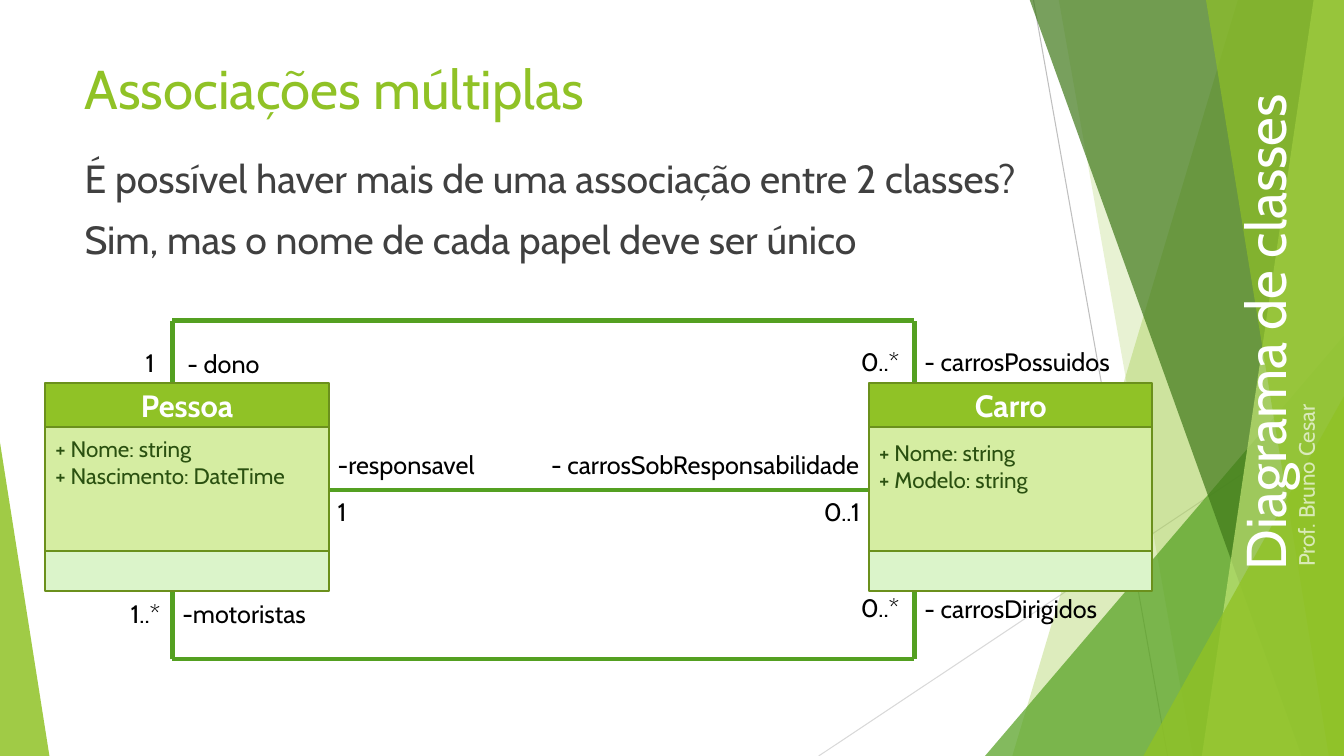
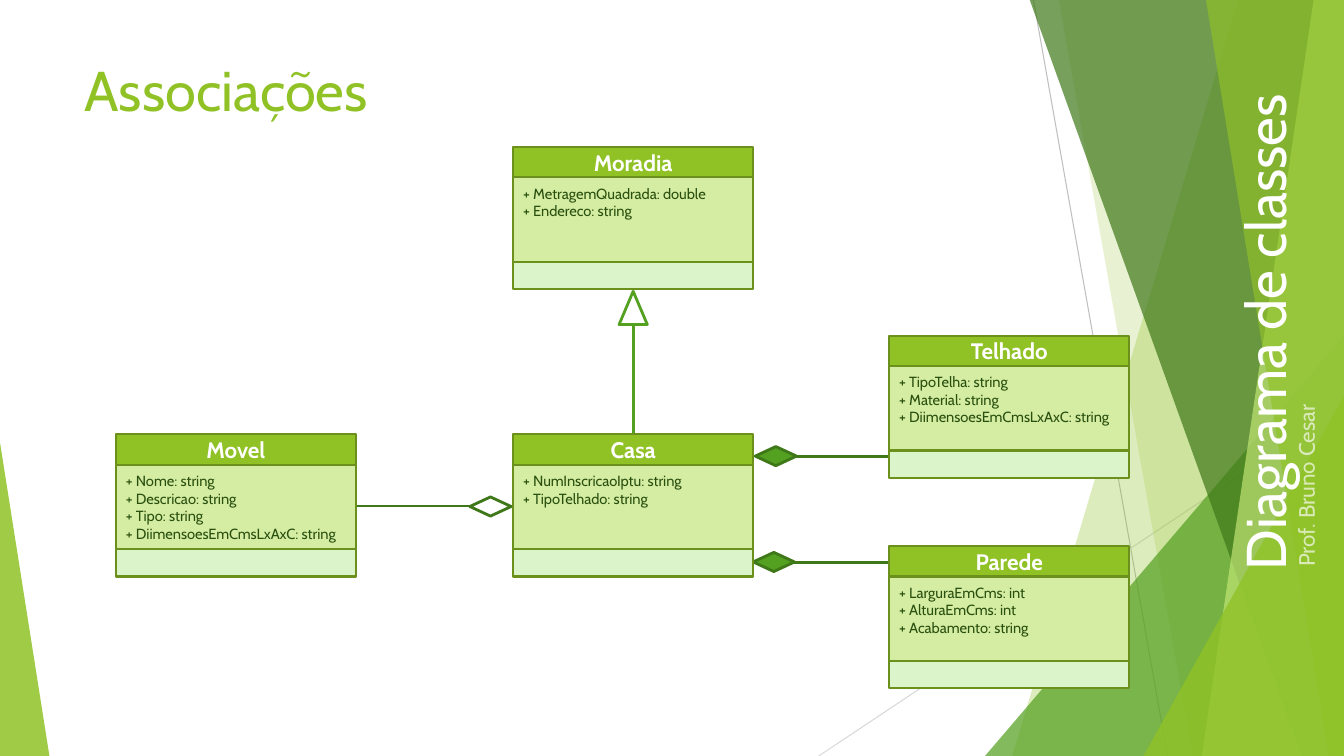
from lxml import etree
from pptx import Presentation
from pptx.dml.color import RGBColor
from pptx.enum.shapes import MSO_CONNECTOR, MSO_SHAPE
from pptx.enum.text import MSO_ANCHOR, PP_ALIGN
from pptx.oxml.ns import qn
from pptx.util import Inches, Pt

STRAIGHT = MSO_CONNECTOR.STRAIGHT
RECTANGLE = MSO_SHAPE.RECTANGLE
TRIANGLE = MSO_SHAPE.ISOSCELES_TRIANGLE
DIAMOND = MSO_SHAPE.FLOWCHART_DECISION
TOP, MIDDLE = MSO_ANCHOR.TOP, MSO_ANCHOR.MIDDLE
LEFT, CENTER, RIGHT = PP_ALIGN.LEFT, PP_ALIGN.CENTER, PP_ALIGN.RIGHT

FONT = "Cabin"
COLORS = {
    "lime": "90C226", "pale lime": "C0E474", "green": "54A021", "dark green": "3F7819",
    "border": "6B901C", "attributes": "D5EDA2", "methods": "DBF4CA", "member": "2A5010",
    "body": "404040", "white": "FFFFFF", "black": "000000",
    "gray": "BFBFBF", "light gray": "D9D9D9",
}


def paint(shape, fill, border=None, width=1.5, opacity=100):
    shape.shadow.inherit = False
    shape.fill.solid()
    shape.fill.fore_color.rgb = RGBColor.from_string(COLORS[fill])
    if opacity < 100:
        color = shape.fill._xPr.find(qn("a:solidFill"))[0]
        etree.SubElement(color, qn("a:alpha"), val=str(opacity * 1000))
    if border:
        shape.line.color.rgb = RGBColor.from_string(COLORS[border])
        shape.line.width = Pt(width)
    else:
        shape.line.fill.background()


def write(shape, lines, size, color, align=LEFT, anchor=TOP, bold=False, before=0, opacity=100):
    frame = shape.text_frame
    frame.word_wrap = True
    frame.vertical_anchor = anchor
    for index, line in enumerate(lines):
        paragraph = frame.paragraphs[0] if index == 0 else frame.add_paragraph()
        paragraph.alignment = align
        paragraph.space_before = Pt(before if index else 0)
        run = paragraph.add_run()
        run.text = line
        run.font.name = FONT
        run.font.size = Pt(size)
        run.font.bold = bold
        run.font.color.rgb = RGBColor.from_string(COLORS[color])
        if opacity < 100:
            tint = run.font.fill._xPr.find(qn("a:solidFill"))[0]
            etree.SubElement(tint, qn("a:alpha"), val=str(opacity * 1000))


background_lines = [
    (10.25, 0, 11.58, 7.5, "gray", 0.75),
    (13.33, 4.03, 8.12, 7.5, "light gray", 0.75),
]
# Each band runs from its top-left corner to its bottom-left corner at the right edge.
bands = [
    ("strip", (12.28, 10.04), "lime", 30),
    ("strip", (10.5, 11.83), "lime", 20),
    ("corner", (9.77, 3.33, 3.56, 4.17, 1), "green", 72),
    ("strip", (10.21, 12.91), "dark green", 70),
    ("strip", (13.03, 11.92), "pale lime", 70),
    ("strip", (11.96, 13.18), "lime", 65),
    ("corner", (11.34, 3.93, 1.99, 3.57, 1), "lime", 80),
    ("corner", (0, 4.39, 0.49, 3.11, 0), "lime", 85),
]
side_texts = [
    ("Diagrama de classes", (9.84, 2.67, 5.4, 0.77), 40, 100),
    ("Prof. Bruno Cesar", (11.8, 4.3, 2.39, 0.45), 16, 65),
]

pages = [
    {
        "title": "Associações múltiplas",
        "title size": 39,
        "body": [
            "É possível haver mais de uma associação entre 2 classes?",
            "Sim, mas o nome de cada papel deve ser único",
        ],
        "links": [
            (1.71, 3.18, 9.07, 3.18, "green", 3),
            (1.71, 6.54, 9.07, 6.54, "green", 3),
            (1.71, 6.54, 1.71, 3.18, "green", 3),
            (9.07, 6.54, 9.07, 3.18, "green", 3),
            (3.16, 4.86, 8.82, 4.86, "green", 3),
        ],
        "markers": [],
        "class width": 2.81,
        "class heights": (0.44, 1.23, 0.39),
        "class sizes": (22, 16),
        "classes": [
            ("Pessoa", 0.45, 3.8, 0.08, ["+ Nome: string", "+ Nascimento: DateTime"]),
            ("Carro", 8.62, 3.8, 0.12, ["+ Nome: string", "+ Modelo: string"]),
        ],
        "labels": [
            ("0..1", 7.98, 4.87, 0.65, RIGHT),
            ("- carrosSobResponsabilidade", 5.21, 4.41, 3.41, RIGHT),
            ("1", 3.25, 4.87, 0.34, LEFT),
            ("-responsavel", 3.25, 4.41, 3.32, LEFT),
            ("1", 1.34, 3.4, 0.29, RIGHT),
            ("- dono", 1.76, 3.41, 0.97, LEFT),
            ("-motoristas", 1.71, 5.89, 1.54, LEFT),
            ("1..*", 1.08, 5.89, 0.61, RIGHT),
            ("0..*", 8.35, 3.39, 0.67, RIGHT),
            ("- carrosPossuidos", 9.07, 3.39, 2.16, LEFT),
            ("0..*", 7.81, 5.83, 1.21, RIGHT),
            ("- carrosDirigidos", 9.07, 5.84, 2.26, LEFT),
        ],
    },
    {
        "title": "Associações",
        "title size": 40,
        "body": [],
        "links": [
            (6.28, 5.12, 6.28, 2.94, "green", 2),
            (4.95, 5.02, 3.46, 5.02, "dark green", 2),
            (7.6, 4.53, 9.09, 4.53, "dark green", 2),
            (7.58, 5.58, 9.07, 5.58, "dark green", 2),
        ],
        "markers": [
            (TRIANGLE, (6.14, 2.89, 0.28, 0.33), "white", "green"),
            (DIAMOND, (4.66, 4.93, 0.41, 0.19), "white", "dark green"),
            (DIAMOND, (7.49, 4.43, 0.41, 0.19), "green", "dark green"),
            (DIAMOND, (7.47, 5.48, 0.41, 0.19), "green", "dark green"),
        ],
        "class width": 2.38,
        "class heights": (0.3, 0.84, 0.27),
        "class sizes": (16, 10.5),
        "classes": [
            ("Moradia", 5.09, 1.46, 0.07,
             ["+ MetragemQuadrada: double", "+ Endereco: string"]),
            ("Parede", 8.82, 5.42, 0.07,
             ["+ LarguraEmCms: int", "+ AlturaEmCms: int", "+ Acabamento: string"]),
            ("Telhado", 8.82, 3.33, 0.07,
             ["+ TipoTelha: string", "+ Material: string", "+ DiimensoesEmCmsLxAxC: string"]),
            ("Movel", 1.15, 4.31, 0.07,
             ["+ Nome: string", "+ Descricao: string", "+ Tipo: string",
              "+ DiimensoesEmCmsLxAxC: string"]),
            ("Casa", 5.09, 4.31, 0.07,
             ["+ NumInscricaoIptu: string", "+ TipoTelhado: string"]),
        ],
        "labels": [],
    },
]

deck = Presentation()
deck.slide_width, deck.slide_height = Inches(13.33), Inches(7.5)

for page in pages:
    shapes = deck.slides.add_slide(deck.slide_layouts[6]).shapes

    for group in (background_lines, page["links"]):
        for x1, y1, x2, y2, color, width in group:
            link = shapes.add_connector(STRAIGHT, Inches(x1), Inches(y1), Inches(x2), Inches(y2))
            link.line.color.rgb = RGBColor.from_string(COLORS[color])
            link.line.width = Pt(width)
            etree.SubElement(link._element.spPr, qn("a:effectLst"))
        if group is background_lines:
            for kind, geometry, color, opacity in bands:
                if kind == "strip":
                    top_x, bottom_x = geometry
                    outline = shapes.build_freeform(Inches(top_x), Inches(-0.01))
                    corners = [(13.33, -0.01), (13.33, 7.5), (bottom_x, 7.5)]
                    outline.add_line_segments([(Inches(x), Inches(y)) for x, y in corners])
                    band = outline.convert_to_shape()
                else:
                    *place, apex = geometry
                    band = shapes.add_shape(TRIANGLE, *map(Inches, place))
                    band.adjustments[0] = apex
                paint(band, color, opacity=opacity)

    for kind, place, fill, border in page["markers"]:
        marker = shapes.add_shape(kind, *map(Inches, place))
        paint(marker, fill, border, width=2)

    title = shapes.add_textbox(Inches(0.74), Inches(0.5), Inches(9.97), Inches(0.93))
    write(title, [page["title"]], page["title size"], "lime")
    if page["body"]:
        body = shapes.add_textbox(Inches(0.74), Inches(1.48), Inches(10.31), Inches(1.62))
        write(body, page["body"], 28, "body", before=10)
    for text, place, size, opacity in side_texts:
        side = shapes.add_textbox(*map(Inches, place))
        side.rotation = 270
        write(side, [text], size, "white", opacity=opacity)

    name_size, member_size = page["class sizes"]
    for name, left, top, inset, members in page["classes"]:
        parts = []
        for height, fill in zip(page["class heights"], ("lime", "attributes", "methods")):
            part = shapes.add_shape(
                RECTANGLE, Inches(left), Inches(top), Inches(page["class width"]), Inches(height))
            paint(part, fill, "border")
            parts.append(part)
            top += height
        write(parts[0], [name], name_size, "white", CENTER, MIDDLE, bold=True)
        parts[1].text_frame.margin_top = Inches(inset)
        write(parts[1], members, member_size, "member")

    for text, left, top, width, align in page["labels"]:
        label = shapes.add_textbox(Inches(left), Inches(top), Inches(width), Inches(0.4))
        write(label, [text], 18, "black", align)

deck.save("out.pptx")
